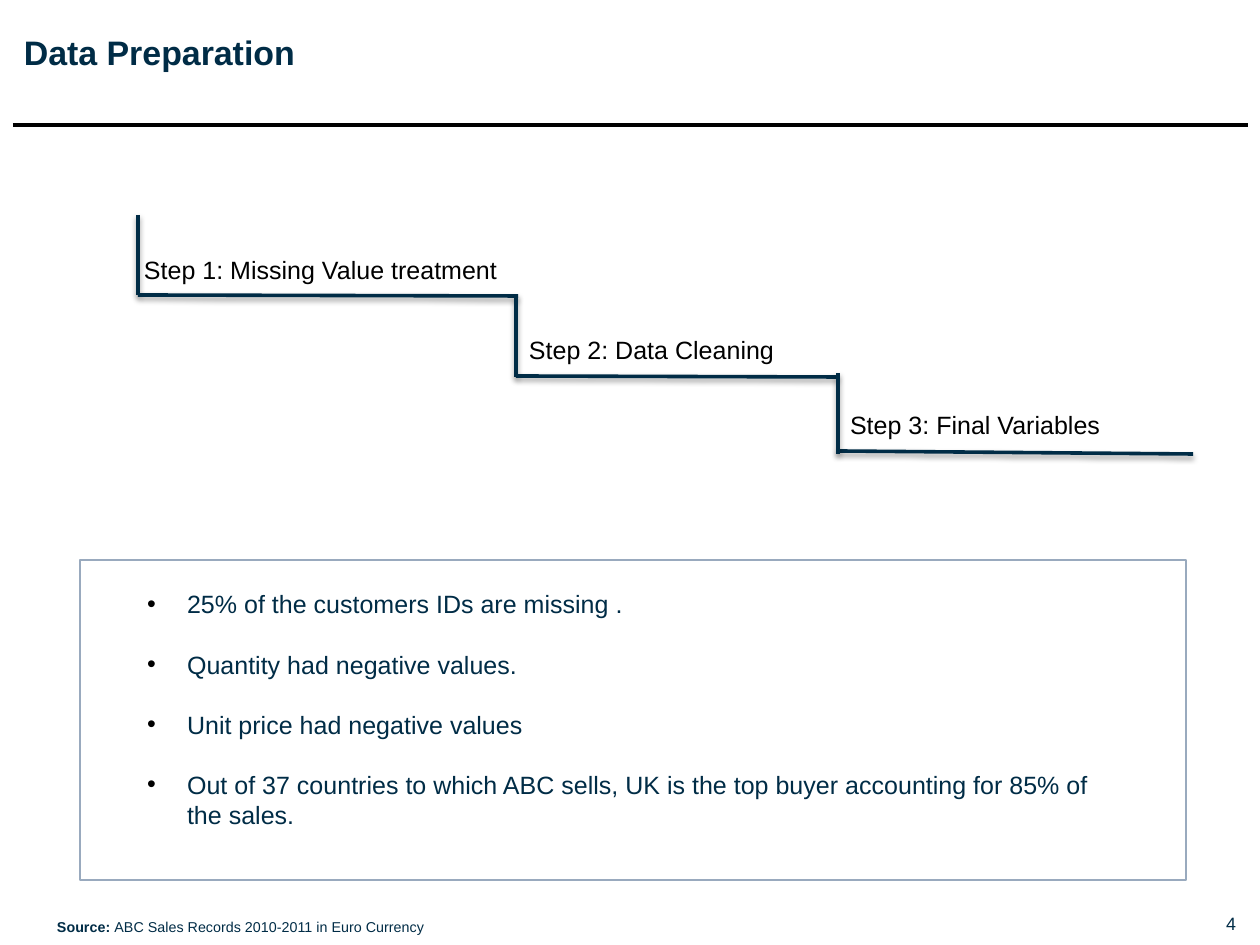
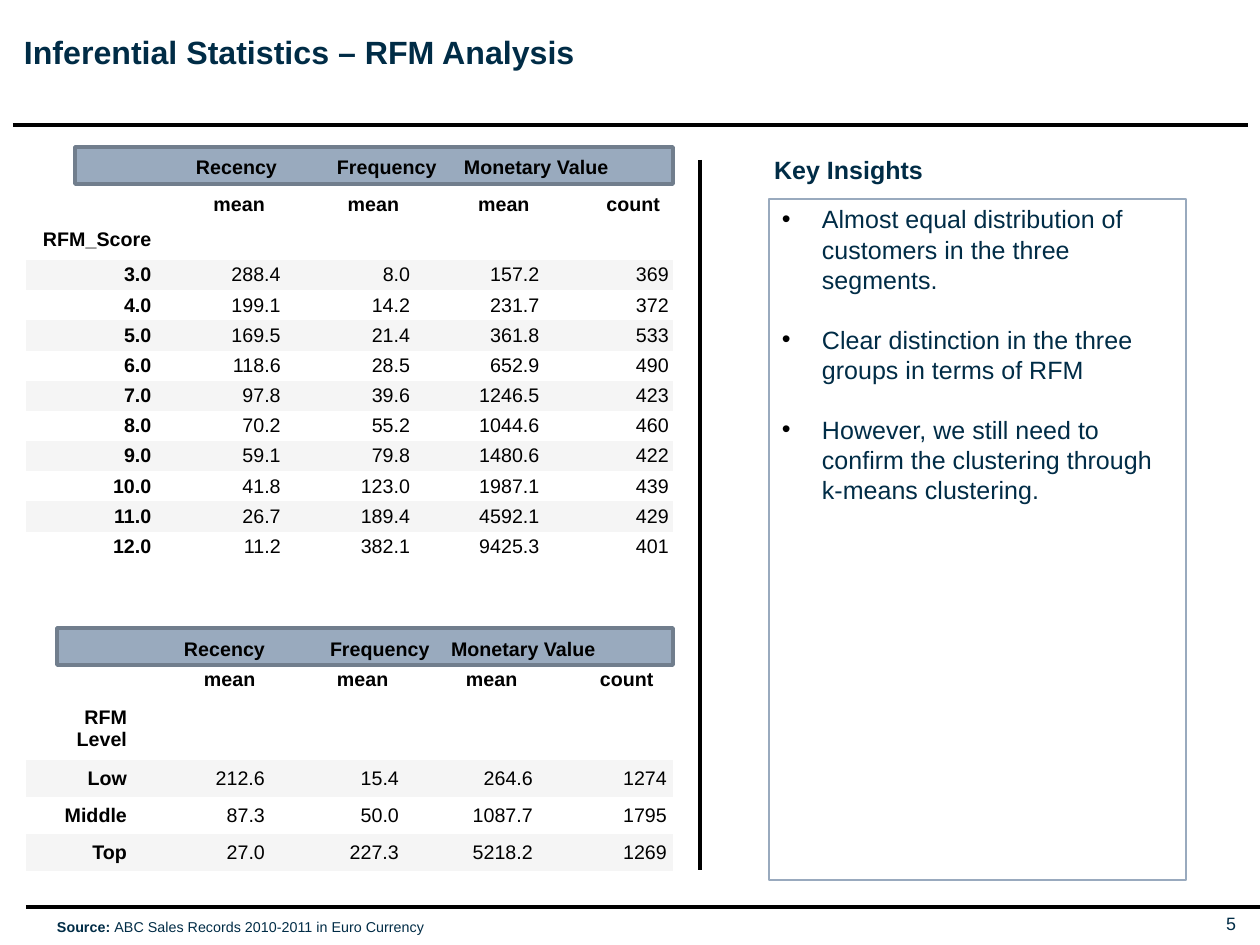
import lxml.etree
import pptx
import pptx.dml.color
import pptx.enum.shapes
import pptx.enum.text
import pptx.oxml.ns
import pptx.util

RGBColor = pptx.dml.color.RGBColor
NAVY = RGBColor(0x00, 0x2C, 0x46)
BLACK = RGBColor(0x00, 0x00, 0x00)
WHITE = RGBColor(0xFF, 0xFF, 0xFF)
STEEL = RGBColor(0x99, 0xAA, 0xBE)
STEEL_DARK = RGBColor(0x71, 0x7E, 0x8D)
STRIPE = RGBColor(0xF5, 0xF5, 0xF5)

FONT = "Arial"
EMU_PER_PX = 914400 / 128.6
PLAIN_TABLE = "{2D5ABB26-0587-4C30-8999-92F81FD0307C}"
LEFT = pptx.enum.text.PP_ALIGN.LEFT
RIGHT = pptx.enum.text.PP_ALIGN.RIGHT
TOP = pptx.enum.text.MSO_ANCHOR.TOP
MIDDLE = pptx.enum.text.MSO_ANCHOR.MIDDLE
HEADINGS = "Recency\tFrequency\tMonetary Value"


def px(length):
    return pptx.util.Emu(round(length * EMU_PER_PX))


def add_xml(parent, tag, **attributes):
    values = {name: str(value) for name, value in attributes.items()}
    return lxml.etree.SubElement(parent, pptx.oxml.ns.qn(tag), values)


def set_all(target, values):
    for name, value in values.items():
        setattr(target, name, value)


class Deck:
    def __init__(self):
        self.prs = pptx.Presentation()
        self.prs.slide_width, self.prs.slide_height = px(1260), px(945)
        self.slide = None

    def start_slide(self, title, size, number):
        """Add a slide with the shared title, rule, source line and number."""
        self.slide = self.prs.slides.add_slide(self.prs.slide_layouts[6])
        self.line((13, 125), (1248, 125))
        self.text((24, 32, 1213, 41), title, size, bold=True, inset=(0, 0))
        self.text((1214, 912, 22, 22), str(number), 10, inset=(0, 0),
                  align=RIGHT, anchor=MIDDLE)
        source = self.text((44, 912, 467, 53), "Source: ", 8, bold=True)
        self.run(source, "ABC Sales Records 2010-2011 in Euro Currency", 8)

    def run(self, paragraph, text, size, color=NAVY, bold=False):
        run = paragraph.add_run()
        run.text = text
        set_all(run.font, {"name": FONT, "size": pptx.util.Pt(size), "bold": bold})
        run.font.color.rgb = color

    def frame(self, box, inset=(13, 6), anchor=TOP):
        frame = self.slide.shapes.add_textbox(*map(px, box)).text_frame
        across, down = map(px, inset)
        set_all(frame, {"word_wrap": True, "vertical_anchor": anchor,
                        "margin_left": across, "margin_right": across,
                        "margin_top": down, "margin_bottom": down})
        return frame

    def text(self, box, text, size, color=NAVY, bold=False, inset=(13, 6),
             align=LEFT, anchor=TOP):
        paragraph = self.frame(box, inset, anchor).paragraphs[0]
        paragraph.alignment = align
        self.run(paragraph, text, size, color, bold)
        return paragraph

    def bullets(self, box, items):
        frame = self.frame(box)
        for index, item in enumerate(items):
            paragraph = frame.add_paragraph() if index else frame.paragraphs[0]
            line_height = pptx.util.Pt(16.8)
            paragraph.line_spacing = line_height
            paragraph.space_after = line_height
            self.run(paragraph, item, 14)
            properties = paragraph._p.get_or_add_pPr()
            properties.set("marL", str(px(40)))
            properties.set("indent", str(-px(40)))
            add_xml(add_xml(properties, "a:buClr"), "a:srgbClr", val=BLACK)
            add_xml(properties, "a:buFont", typeface=FONT)
            add_xml(properties, "a:buChar", char="•")

    def line(self, start, end, color=BLACK, shadow=False):
        connector = self.slide.shapes.add_connector(
            pptx.enum.shapes.MSO_CONNECTOR.STRAIGHT, *map(px, start + end))
        connector.line.color.rgb = color
        connector.line.width = pptx.util.Pt(2)
        effects = add_xml(connector.element.spPr, "a:effectLst")
        if shadow:
            outer = add_xml(effects, "a:outerShdw", blurRad=pptx.util.Pt(3.1),
                            dist=pptx.util.Pt(1.6), dir=5400000, rotWithShape=0)
            black = add_xml(outer, "a:srgbClr", val=BLACK)
            add_xml(black, "a:alpha", val=38000)

    def rectangle(self, box, outline, width, fill=None):
        shape = self.slide.shapes.add_shape(
            pptx.enum.shapes.MSO_SHAPE.RECTANGLE, *map(px, box))
        shape.shadow.inherit = False
        shape.line.color.rgb = outline
        shape.line.width = pptx.util.Pt(width)
        if fill is None:
            shape.fill.background()
        else:
            shape.fill.solid()
            shape.fill.fore_color.rgb = fill

    def header_band(self, band, labels, tabs):
        """Draw a band with the three headings set at tab stops."""
        self.rectangle(band, STEEL_DARK, 2, STEEL)
        paragraph = self.text(labels, HEADINGS, 11, BLACK, bold=True)
        stops = add_xml(paragraph._p.get_or_add_pPr(), "a:tabLst")
        for tab in tabs:
            add_xml(stops, "a:tab", pos=px(tab), algn="l")

    def table(self, corner, columns, heights, rows, inset, indents, merged):
        """Place rows under an empty top row, a 'mean' row and a label row."""
        box = (*corner, sum(columns), sum(heights))
        shape = self.slide.shapes.add_table(len(rows), len(columns), *map(px, box))
        table = shape.table
        set_all(table, {"first_row": False, "horz_banding": False})
        for style in shape.element.iter(pptx.oxml.ns.qn("a:tableStyleId")):
            style.text = PLAIN_TABLE
        for column, width in zip(table.columns, columns):
            column.width = px(width)
        for row, height in zip(table.rows, heights):
            row.height = px(height)
        across, down = map(px, inset)
        for r, values in enumerate(rows):
            for c, value in enumerate(values):
                cell = table.cell(r, c)
                set_all(cell, {"margin_left": across, "margin_right": across,
                               "margin_top": down, "margin_bottom": down,
                               "vertical_anchor": MIDDLE})
                cell.fill.solid()
                cell.fill.fore_color.rgb = STRIPE if r > 2 and r % 2 else WHITE
                paragraph = cell.text_frame.paragraphs[0]
                if not value:
                    add_xml(paragraph._p, "a:endParaRPr", sz=1100)
                    continue
                self.run(paragraph, value, 11, BLACK, bold=r < 3 or c == 0)
                if r == 1:
                    properties = paragraph._p.get_or_add_pPr()
                    properties.set("marL", str(px(indents[c - 1])))
                    properties.set("indent", "0")
                else:
                    paragraph.alignment = RIGHT
        table.cell(0, merged).merge(table.cell(0, merged + 1))


def table_rows(label, body):
    return [[""] * 5, ["", "mean", "mean", "mean", "count"],
            [label, "", "", "", ""], *(line.split() for line in body)]


SCORES = ["3.0 288.4 8.0 157.2 369", "4.0 199.1 14.2 231.7 372",
          "5.0 169.5 21.4 361.8 533", "6.0 118.6 28.5 652.9 490",
          "7.0 97.8 39.6 1246.5 423", "8.0 70.2 55.2 1044.6 460",
          "9.0 59.1 79.8 1480.6 422", "10.0 41.8 123.0 1987.1 439",
          "11.0 26.7 189.4 4592.1 429", "12.0 11.2 382.1 9425.3 401"]
LEVELS = ["Low 212.6 15.4 264.6 1274", "Middle 87.3 50.0 1087.7 1795",
          "Top 27.0 227.3 5218.2 1269"]


def data_preparation(deck):
    deck.start_slide("Data Preparation", 19, 4)
    stairs = [((138, 215), (138, 295)), ((138, 295), (518, 296)),
              ((516, 296), (516, 377)), ((516, 376), (838, 377)),
              ((837, 451), (1193, 454)), ((838, 373), (838, 454))]
    for start, end in stairs:
        deck.line(start, end, NAVY, shadow=True)
    steps = [((131, 248, 385, 44), "Step 1: Missing Value treatment"),
             ((516, 328, 385, 44), "Step 2: Data Cleaning"),
             ((837, 403, 303, 44), "Step 3: Final Variables")]
    for box, step in steps:
        deck.text(box, step, 14, BLACK)
    deck.rectangle((80, 560, 1106, 320), STEEL, 1.5)
    deck.bullets((134, 583, 991, 256), [
        "25% of the customers IDs are missing .",
        "Quantity had negative values.",
        "Unit price had negative values",
        "Out of 37 countries to which ABC sells, UK is the top buyer "
        "accounting for 85% of the sales."])


def rfm_analysis(deck):
    deck.start_slide("Inferential Statistics – RFM Analysis", 18, 5)
    deck.line((26, 907), (1260, 907))
    deck.rectangle((769, 199, 417, 681), STEEL, 1.5)
    deck.text((761, 148, 215, 44), "Key Insights", 14, bold=True)
    deck.line((700, 160), (700, 870))
    deck.bullets((769, 198, 417, 377), [
        "Almost equal distribution of customers in the three segments.",
        "Clear distinction in the three groups in terms of RFM",
        "However, we still need to confirm the clustering through "
        "k-means clustering."])
    deck.table((26, 149), [129.4] * 5, [40, 31, 40] + [30.2] * 10,
               table_rows("RFM_Score", SCORES), (4, 1), (54, 59, 60, 59), 3)
    deck.table((26, 631), [107, 138, 134, 134, 134], [30, 37, 62, 37, 37, 37],
               table_rows("RFM Level", LEVELS), (6, 3), (65, 60, 55, 55), 2)
    deck.header_band((57, 628, 616, 37), (171, 631, 509, 37), (146, 267))
    deck.header_band((75, 147, 598, 37), (183, 149, 440, 37), (141, 268))


def main():
    deck = Deck()
    data_preparation(deck)
    rfm_analysis(deck)
    deck.prs.save("out.pptx")


if __name__ == "__main__":
    main()
